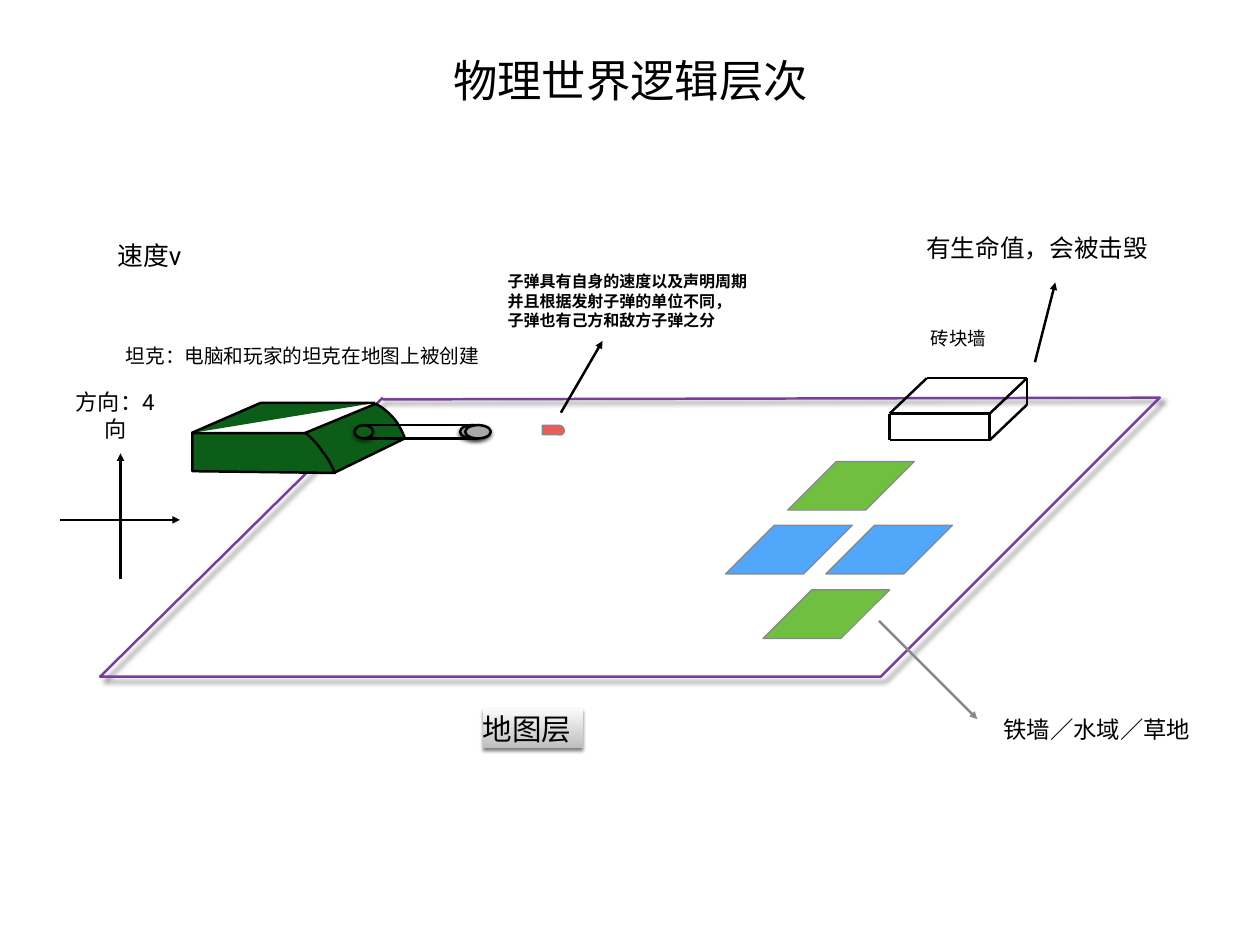
from lxml import etree
from pptx import Presentation
from pptx.dml.color import RGBColor
from pptx.enum.shapes import MSO_CONNECTOR, MSO_SHAPE
from pptx.enum.text import MSO_ANCHOR, PP_ALIGN
from pptx.oxml.ns import qn
from pptx.util import Inches, Pt

STRAIGHT = MSO_CONNECTOR.STRAIGHT
RECTANGLE, OVAL, PARALLELOGRAM = MSO_SHAPE.RECTANGLE, MSO_SHAPE.OVAL, MSO_SHAPE.PARALLELOGRAM
MIDDLE = MSO_ANCHOR.MIDDLE
LEFT, CENTER = PP_ALIGN.LEFT, PP_ALIGN.CENTER
BLACK = RGBColor(0x00, 0x00, 0x00)
GRAY = RGBColor(0x85, 0x88, 0x8D)
PURPLE = RGBColor(0x77, 0x3F, 0x9B)
GRASS = RGBColor(0x70, 0xBF, 0x41)
WATER = RGBColor(0x51, 0xA7, 0xF9)
TANK_GREEN = RGBColor(0x0B, 0x5D, 0x18)
MUZZLE_GRAY = RGBColor(0xA6, 0xAA, 0xA9)
BULLET_RED = RGBColor(0xEC, 0x5D, 0x57)
LABEL_SHADES = (RGBColor(0xFB, 0xFB, 0xFB), RGBColor(0xBE, 0xBE, 0xBE))
FONT = "Roboto"
INSET = 0.06
MAP_SHADOW, SOFT_SHADOW = (4, 5, 45), (3, 2, 90)

MAP_LABEL = "地图层"
LABELS = [
    (["物理世界逻辑层次"], (4.72, 0.59, 4.79, 0.61), 36, False, CENTER, True),
    (["铁墙／水域／草地"], (11.26, 8.04, 2.24, 0.38), 19, False, CENTER, False),
    (["砖块墙"], (10.44, 3.66, 0.75, 0.31), 15, False, CENTER, False),
    (["坦克：电脑和玩家的坦克在地图上被创建"], (1.35, 3.85, 4.13, 0.33), 16, False, CENTER, False),
    (["子弹具有自身的速度以及声明周期", "并且根据发射子弹的单位不同，", "子弹也有己方和敌方子弹之分"],
     (5.67, 3.07, 2.88, 0.65), 13, True, LEFT, False),
    (["速度v"], (1.2, 2.64, 0.97, 0.48), 21, False, CENTER, True),
    (["方向：4向"], (0.73, 4.38, 1.14, 0.62), 18, False, CENTER, True),
    (["有生命值，会被击毁"], (10.39, 2.6, 2.63, 0.39), 20, False, CENTER, False),
]
ARROWS = [
    ((9.92, 7.01), (11.03, 8.12), GRAY),
    ((6.33, 4.66), (6.8, 3.85), BLACK),
    ((0.68, 5.87), (2.03, 5.87), BLACK),
    ((1.36, 6.54), (1.36, 5.12), BLACK),
    ((11.68, 4.09), (11.91, 3.19), BLACK),
]
TILES = [(8.61, 6.66, GRASS), (9.32, 5.93, WATER), (8.19, 5.93, WATER), (8.89, 5.21, GRASS)]
TILE_SIZE = (1.43, 0.55)
MAP_OUTLINE = [(4.32, 4.49), (1.13, 7.64), (9.94, 7.64), (13.09, 4.49), (4.32, 4.51)]
WALL_LEFT, WALL_RIGHT, WALL_TOP, WALL_BOTTOM = 10.04, 11.17, 4.67, 4.97
WALL_DEPTH = (0.42, -0.4)
TANK_ROOF = [(2.16, 4.89), (2.94, 4.55), (4.23, 4.55)]
TANK_FRONT = [(3.77, 5.34), (4.57, 4.95), ((4.54, 4.87), (4.5, 4.79), (4.45, 4.73)),
              ((4.39, 4.66), (4.32, 4.6), (4.24, 4.56)), (3.44, 4.89)]
TANK_SIDE = [(2.17, 4.89), (2.17, 5.32), (3.78, 5.34), ((3.74, 5.25), (3.7, 5.17), (3.64, 5.1)),
             ((3.59, 5.02), (3.52, 4.95), (3.45, 4.89))]
BARREL_EDGES = (4.8, 4.95)
BARREL_ENDS = [(5.19, 0.29, MUZZLE_GRAY), (5.25, 0.29, MUZZLE_GRAY), (4, 0.21, TANK_GREEN)]
BULLET = [(6.12, 4.8), (6.12, 4.91), (6.3, 4.91), ((6.34, 4.92), (6.36, 4.9), (6.37, 4.87)),
          ((6.37, 4.83), (6.34, 4.8), (6.3, 4.8))]

prs = Presentation()
prs.slide_width, prs.slide_height = Inches(14.22), Inches(10.67)
slide = prs.slides.add_slide(prs.slide_layouts[6])
shapes = slide.shapes


def paint(shape, fill, line, weight=2, shadow=None):
    if fill is None:
        shape.fill.background()
    else:
        shape.fill.solid()
        shape.fill.fore_color.rgb = fill
    if line is None:
        shape.line.fill.background()
    else:
        shape.line.color.rgb = line
        shape.line.width = Pt(weight)
    shape.shadow.inherit = False
    if shadow:
        blur, distance, angle = shadow
        effects = shape.element.spPr.find(qn("a:effectLst"))
        outer = etree.SubElement(effects, qn("a:outerShdw"), blurRad=str(Pt(blur)),
                                 dist=str(Pt(distance)), dir=str(angle * 60000), rotWithShape="0")
        color = etree.SubElement(outer, qn("a:srgbClr"), val=str(BLACK))
        etree.SubElement(color, qn("a:alpha"), val="50000")


def flatten(outline, steps=8):
    points = []
    for part in outline:
        if not isinstance(part[0], tuple):
            points.append(part)
            continue
        curve = (points[-1], *part)
        for step in range(1, steps + 1):
            t = step / steps
            weights = ((1 - t) ** 3, 3 * t * (1 - t) ** 2, 3 * t * t * (1 - t), t ** 3)
            points.append(tuple(sum(w * p[axis] for w, p in zip(weights, curve)) for axis in (0, 1)))
    return points


def add_outline(outline, fill, line, closed, weight=2, shadow=None):
    points = [(Inches(x), Inches(y)) for x, y in flatten(outline)]
    builder = shapes.build_freeform(*points[0])
    builder.add_line_segments(points[1:], close=closed)
    paint(builder.convert_to_shape(), fill, line, weight, shadow)


def add_line(start, end, color=BLACK, arrow=False):
    line = shapes.add_connector(STRAIGHT, *map(Inches, (*start, *end)))
    line.line.color.rgb = color
    line.line.width = Pt(2)
    properties = line.element.spPr
    if arrow:
        etree.SubElement(properties.find(qn("a:ln")), qn("a:tailEnd"), type="triangle")
    etree.SubElement(properties, qn("a:effectLst"))


def write(frame, lines, size, bold, align, wrap, inset):
    frame.margin_left = frame.margin_right = frame.margin_top = frame.margin_bottom = Inches(inset)
    frame.vertical_anchor = MIDDLE
    frame.word_wrap = wrap
    for index, words in enumerate(lines):
        paragraph = frame.add_paragraph() if index else frame.paragraphs[0]
        paragraph.alignment = align
        run = paragraph.add_run()
        run.text = words
        run.font.name, run.font.size, run.font.bold = FONT, Pt(size), bold
        run.font.color.rgb = BLACK


add_outline(MAP_OUTLINE, None, PURPLE, False, shadow=MAP_SHADOW)

map_label = shapes.add_shape(RECTANGLE, *map(Inches, (5.45, 8, 1.13, 0.45)))
paint(map_label, None, None, shadow=SOFT_SHADOW)
map_label.fill.gradient()
map_label.fill.gradient_angle = 270
for stop, shade, position in zip(map_label.fill.gradient_stops, LABEL_SHADES, (0, 1)):
    stop.color.rgb = shade
    stop.position = position
write(map_label.text_frame, [MAP_LABEL], 24, False, LEFT, True, 0)

for x, y, color in TILES:
    tile = shapes.add_shape(PARALLELOGRAM, *map(Inches, (x, y, *TILE_SIZE)))
    tile.adjustments[0] = 1.0
    paint(tile, color, GRAY, 1)

front = [(x, y) for y in (WALL_TOP, WALL_BOTTOM) for x in (WALL_LEFT, WALL_RIGHT)]
back = [(x + WALL_DEPTH[0], y + WALL_DEPTH[1]) for x, y in front]
top_left, top_right, bottom_left, bottom_right = front
wall_edges = [(top_left, top_right), (bottom_left, bottom_right), (top_left, bottom_left),
              (top_right, bottom_right), (back[0], back[1]), (back[1], back[3])]
wall_edges += [(front[i], back[i]) for i in (0, 1, 3)]
for start, end in wall_edges:
    add_line(start, end)

add_outline(TANK_ROOF, TANK_GREEN, BLACK, False)
add_outline(TANK_FRONT, TANK_GREEN, BLACK, False)
add_outline(TANK_SIDE, TANK_GREEN, BLACK, True)
for y in BARREL_EDGES:
    add_line((4.09, y), (5.39, y))
for x, width, color in BARREL_ENDS:
    end = shapes.add_shape(OVAL, *map(Inches, (x, 4.8, width, 0.15)))
    paint(end, color, BLACK, shadow=SOFT_SHADOW)
add_outline(BULLET, BULLET_RED, GRAY, True, 1)

for start, end, color in ARROWS:
    add_line(start, end, color, True)
for lines, place, size, bold, align, wrap in LABELS:
    box = shapes.add_textbox(*map(Inches, place))
    write(box.text_frame, lines, size, bold, align, wrap, INSET)

prs.save("out.pptx")
